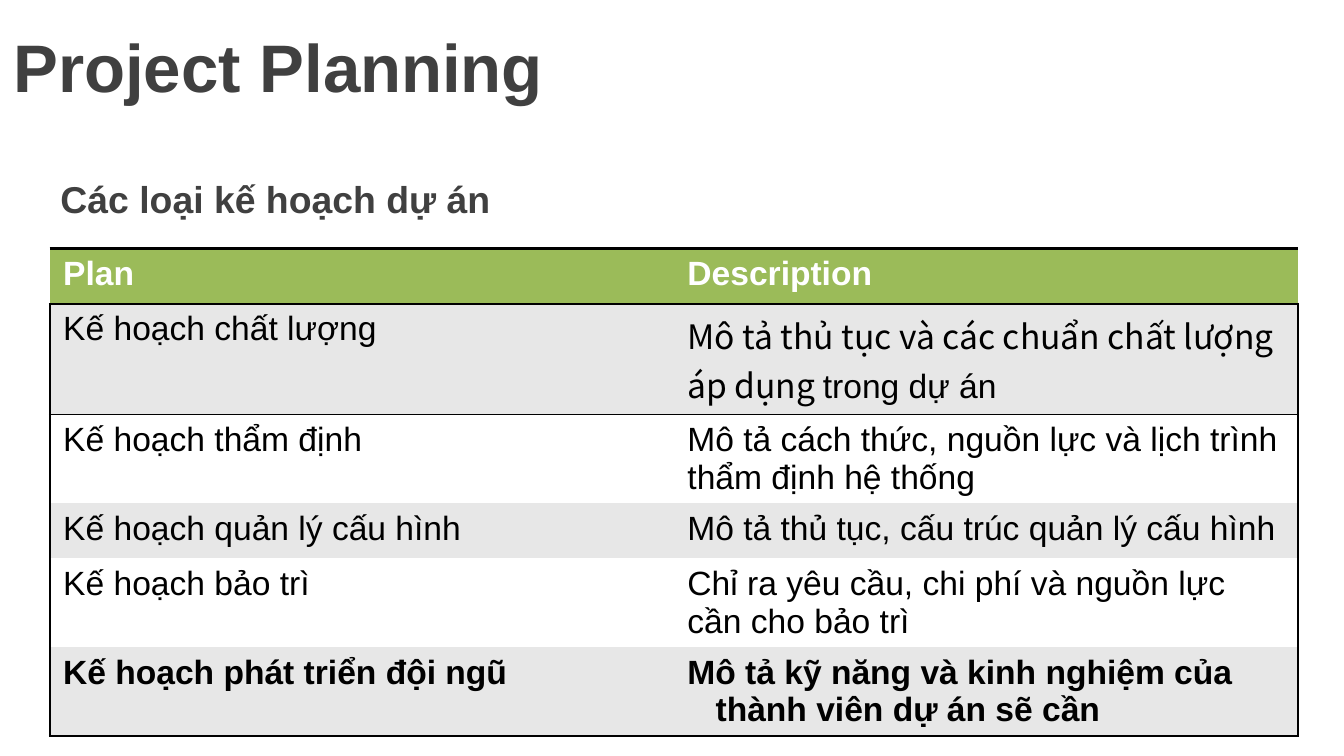
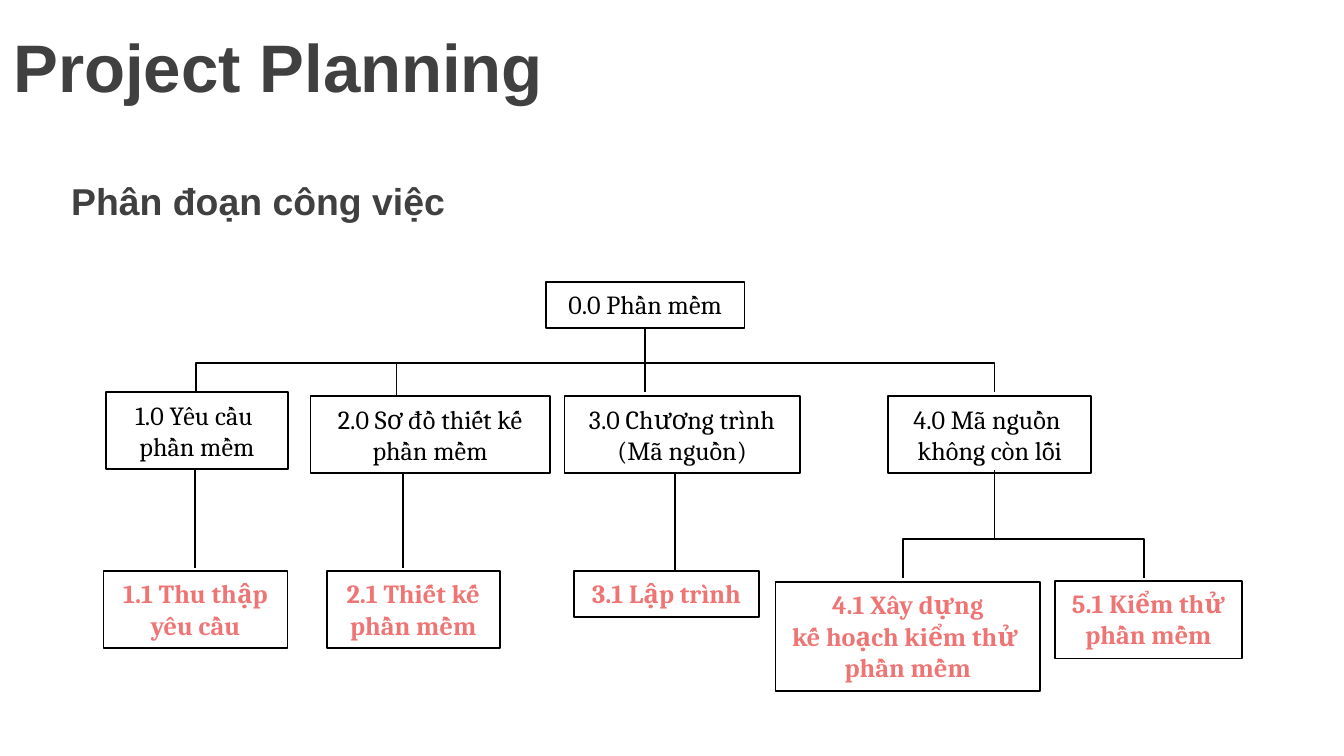
from dataclasses import dataclass

from lxml.etree import SubElement
from pptx import Presentation
from pptx.dml.color import RGBColor
from pptx.enum.shapes import MSO_CONNECTOR as Conn, MSO_SHAPE as Shape
from pptx.enum.text import MSO_ANCHOR as Anchor, MSO_AUTO_SIZE as Fit, PP_ALIGN as Align
from pptx.oxml.ns import qn
from pptx.util import Inches, Pt

COLORS = {"ink": "404040", "black": "000000", "soft": "0D0D0D", "white": "FFFFFF",
          "green": "9BBB59", "grey": "E7E7E7", "coral": "EF7575"}
CELL = 0.1
COLS, ROWS = 100, 56.25
TITLE = {"name": "Arial", "size": Pt(36), "bold": True}
SUBTITLE = {"name": "Arial", "size": Pt(20), "bold": True}
TABLE = {"name": "Arial", "size": Pt(18), "bold": False}
BOX = {"name": "Cambria", "size": Pt(14), "bold": False}
FRAME = {"margin_left": Inches(0.1), "margin_right": Inches(0.1),
         "margin_top": Inches(0.05), "margin_bottom": Inches(0.05)}
ACCENT = "Noto Sans CJK KR"


@dataclass(frozen=True)
class Box:
    """A work item placed on the grid."""
    x: float
    y: float
    w: float
    h: float
    text: str
    task: bool = False


@dataclass(frozen=True)
class Link:
    """A line through grid points."""
    points: tuple
    color: str = "black"
    width: float = 1


PLANS = [
    ("Plan", "Description"),
    ("Kế hoạch chất lượng", "Mô tả thủ tục và các chuẩn chất lượng áp dụng |trong dự án"),
    ("Kế hoạch thẩm định", "Mô tả cách thức, nguồn lực và lịch trình thẩm định hệ thống"),
    ("Kế hoạch quản lý cấu hình", "Mô tả thủ tục, cấu trúc quản lý cấu hình"),
    ("Kế hoạch bảo trì", "Chỉ ra yêu cầu, chi phí và nguồn lực cần cho bảo trì"),
    ("Kế hoạch phát triển đội ngũ",
     "Mô tả kỹ năng và kinh nghiệm của thành viên dự án sẽ cần"),
]
ONE, TWO, THREE = 3.4, 5.7, 8.1
PHASE, TASK = 29.5, 42.5
BOXES = [
    Box(40.6, 21, 14.8, ONE, "0.0 Phần mềm"),
    Box(7.9, 29.2, 13.5, TWO, "1.0 Yêu cầu \vphần mềm"),
    Box(23.1, PHASE, 17.8, TWO, "2.0 Sơ đồ thiết kế\nphần mềm"),
    Box(42, PHASE, 17.5, TWO, "3.0 Chương trình\n(Mã nguồn)"),
    Box(66.1, PHASE, 15.1, TWO, "4.0 Mã nguồn \vkhông còn lỗi"),
    Box(7.7, TASK, 13.7, TWO, "1.1 Thu thập\nyêu cầu", True),
    Box(24.3, TASK, 12.9, TWO, "2.1 Thiết kế\nphần mềm", True),
    Box(42.7, TASK, 13.8, ONE, "3.1 Lập trình", True),
    Box(57.7, 43.3, 19.7, THREE, "4.1 Xây dựng\nkế hoạch kiểm thử \vphần mềm", True),
    Box(78.5, 43.2, 13.9, 5.8, "5.1 Kiểm thử\nphần mềm", True),
]
LINKS = [
    Link(((14.6, 29.2), (14.6, 27), (74, 27), (74, 29.2))),
    Link(((48, 24.3), (48, 29.2))),
    Link(((14.5, 35), (14.5, 42.3))),
    Link(((30, 35.1), (30, 42.3))),
    Link(((50.2, 35.1), (50.2, 42.4))),
    Link(((67.2, 43), (67.2, 40.1), (85.1, 40.1), (85.1, 43))),
    Link(((74, 35), (74, 40.1))),
    Link(((29.5, 27), (29.5, 29.4)), "soft", 0.75),
]


def grid(*cells: float) -> list:
    """Convert grid columns or rows to lengths."""
    return [Inches(n * CELL) for n in cells]


def rgb(name: str) -> RGBColor:
    """Look up a colour by name."""
    return RGBColor.from_string(COLORS[name])


def assign(target, values: dict) -> None:
    """Set each attribute in a dict of values."""
    for key, value in values.items():
        setattr(target, key, value)


def add_run(p, text: str, fmt: dict, color: str) -> None:
    """Add formatted text, with line breaks at vertical tabs."""
    for i, part in enumerate(text.split("\v")):
        if i:
            p.add_line_break()
        r = p.add_run()
        r.text = part
        assign(r.font, fmt)
        r.font.color.rgb = rgb(color)


def indent(p, left: float, first: float):
    """Set the left and first-line indents in inches."""
    ppr = p._p.get_or_add_pPr()
    ppr.set("marL", str(Inches(left)))
    ppr.set("indent", str(Inches(first)))
    return ppr


def fill_placeholder(sp, place: tuple, text: str, fmt: dict) -> None:
    """Move a placeholder and give it one formatted line."""
    assign(sp, dict(zip(("left", "top", "width", "height"), grid(*place))))
    tf = sp.text_frame
    assign(tf, {"vertical_anchor": Anchor.MIDDLE, "word_wrap": True,
                "auto_size": Fit.NONE, **FRAME})
    p = tf.paragraphs[0]
    p.alignment = Align.LEFT
    SubElement(indent(p, 0, 0), qn("a:buNone"))
    add_run(p, text, fmt, "ink")


def add_slide(prs, subtitle: str, x: float, y: float):
    """Add a slide with the shared title and a subtitle."""
    s = prs.slides.add_slide(prs.slide_layouts[1])
    title, body = s.placeholders
    fill_placeholder(title, (0, 0, COLS, 9.7), "Project Planning", TITLE)
    fill_placeholder(body, (x, y, 92.9, 5), subtitle, SUBTITLE)
    return s


def set_borders(cell, widths: dict) -> None:
    """Draw the named cell sides and clear the others."""
    tcpr = cell._tc.get_or_add_tcPr()
    for side in "LRTB":
        ln = SubElement(tcpr, qn(f"a:ln{side}"))
        if side in widths:
            ln.set("w", str(Pt(widths[side])))
            solid = SubElement(ln, qn("a:solidFill"))
            SubElement(solid, qn("a:srgbClr")).set("val", COLORS["black"])
        else:
            SubElement(ln, qn("a:noFill"))


def cell_borders(row: int, col: int) -> dict:
    """Return the border widths of a table cell by side."""
    if row == 0:
        return {"T": 2, "B": 1}
    widths = {"LR"[col]: 1}
    if row == 1:
        widths["T"] = 1
    if row in (1, len(PLANS) - 1):
        widths["B"] = 1
    if row == 2:
        widths["T"] = 1
    return widths


def add_plan_table(s) -> None:
    """Add the table of plan types."""
    gf = s.shapes.add_table(len(PLANS), 2, *grid(3.7, 18.5, 92.9, 24.6))
    tb = gf.table
    assign(tb, {"first_row": False, "horz_banding": False})
    for row in tb.rows:
        row.height = Inches(4.1 * CELL)
    for i, plan in enumerate(PLANS):
        last = i == len(PLANS) - 1
        fmt = {**TABLE, "bold": i == 0 or last}
        for j, text in enumerate(plan):
            cell = tb.cell(i, j)
            assign(cell, FRAME)
            set_borders(cell, cell_borders(i, j))
            cell.fill.solid()
            cell.fill.fore_color.rgb = rgb("green" if i == 0 else "grey" if i % 2 else "white")
            p = cell.text_frame.paragraphs[0]
            if last:
                indent(p, 0.21, -0.21)
            *accents, plain = text.split("|")
            color = "black" if i else "white"
            for accent in accents:
                add_run(p, accent, {**fmt, "name": ACCENT}, color)
            add_run(p, plain, fmt, color)
    gf.height = Inches(36.1 * CELL)


def add_box(s, box: Box) -> None:
    """Add an outlined work item."""
    sp = s.shapes.add_shape(Shape.RECTANGLE, *grid(box.x, box.y, box.w, box.h))
    sp.shadow.inherit = False
    sp.fill.background()
    sp.line.color.rgb = rgb("black")
    sp.line.width = Pt(1)
    tf = sp.text_frame
    assign(tf, {"word_wrap": False, "auto_size": Fit.SHAPE_TO_FIT_TEXT,
                "vertical_anchor": Anchor.TOP, **FRAME})
    for i, text in enumerate(box.text.split("\n")):
        p = tf.add_paragraph() if i else tf.paragraphs[0]
        p.alignment = Align.CENTER
        add_run(p, text, {**BOX, "bold": box.task}, "coral" if box.task else "black")


def add_link(s, link: Link) -> None:
    """Add a straight connector or an open bracket."""
    points = [tuple(grid(*point)) for point in link.points]
    if len(points) == 2:
        sp = s.shapes.add_connector(Conn.STRAIGHT, *points[0], *points[1])
    else:
        builder = s.shapes.build_freeform(*points[0])
        builder.add_line_segments(points[1:], close=False)
        sp = builder.convert_to_shape()
        sp.fill.background()
    sp.line.color.rgb = rgb(link.color)
    sp.line.width = Pt(link.width)
    SubElement(sp._element.spPr, qn("a:effectLst"))


def main() -> None:
    """Build and save the presentation."""
    prs = Presentation()
    prs.slide_width, prs.slide_height = grid(COLS, ROWS)
    add_plan_table(add_slide(prs, "Các loại kế hoạch dự án", 3.5, 12.3))
    s = add_slide(prs, "Phân đoạn công việc", 4.3, 12.4)
    for box in BOXES:
        add_box(s, box)
    for link in LINKS:
        add_link(s, link)
    prs.save("out.pptx")


if __name__ == "__main__":
    main()
